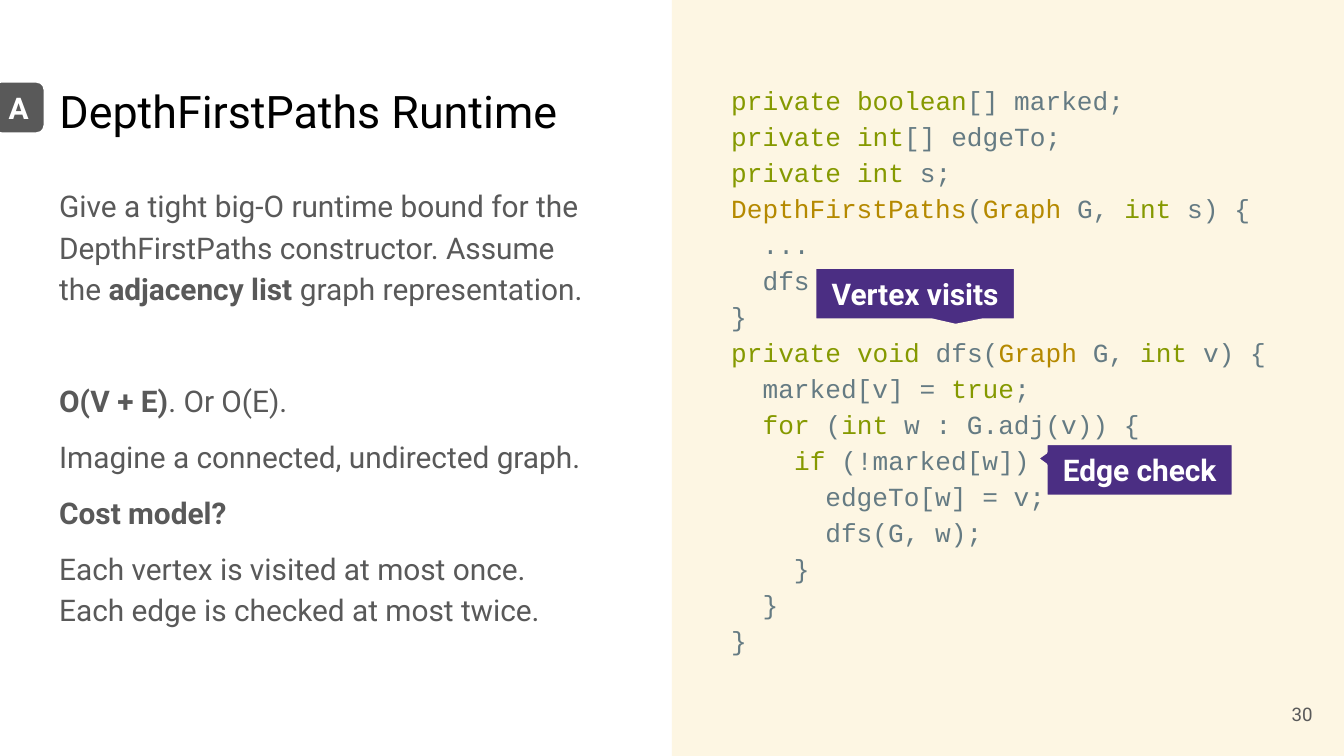
from dataclasses import dataclass
from itertools import groupby

from pptx import Presentation
from pptx.dml.color import RGBColor
from pptx.enum.shapes import MSO_SHAPE as Shape
from pptx.enum.text import MSO_ANCHOR as Anchor, MSO_AUTO_SIZE as AutoSize, PP_ALIGN as Align
from pptx.util import Inches, Pt

WIDTH = Inches(10)
HEIGHT = WIDTH * 9 // 16


@dataclass(frozen=True)
class Theme:
    sans: str = "Roboto"
    mono: str = "Courier New"
    title_size: int = 24
    body_size: int = 16
    code_size: int = 14
    number_size: int = 10
    leading: float = 1.15
    gap: int = 8
    black: str = "000000"
    white: str = "FFFFFF"
    gray: str = "595959"
    cream: str = "FDF6E3"
    purple: str = "4B2E83"
    code: str = "657B83"
    keyword: str = "859900"
    type_name: str = "B58900"


@dataclass(frozen=True)
class Box:
    """Left, top, width and height in percent of the slide."""
    x: float
    y: float
    w: float
    h: float

    def emu(self):
        return (round(WIDTH * self.x / 100), round(HEIGHT * self.y / 100),
                round(WIDTH * self.w / 100), round(HEIGHT * self.h / 100))


THEME = Theme()
TOP, LABEL_H = 8.71, 7.11

# Each paragraph: space before, then (text, bold) runs; "\n" is a line break
ANSWER = [
    (0, [("Give a tight big-O runtime bound for the DepthFirstPaths constructor. Assume the ", False),
         ("adjacency list", True), (" graph representation.", False)]),
    (38, [("O(V + E)", True), (". Or O(E).", False)]),
    (THEME.gap, [("Imagine a connected, undirected graph.", False)]),
    (THEME.gap, [("Cost model?", True)]),
    (THEME.gap, [("Each vertex is visited at most once.", False), ("\n", False),
                 ("Each edge is checked at most twice.", False)]),
]

CODE = """\
private boolean[] marked;
private int[] edgeTo;
private int s;
DepthFirstPaths(Graph G, int s) {
  ...
  dfs(G, s);
}
private void dfs(Graph G, int v) {
  marked[v] = true;
  for (int w : G.adj(v)) {
    if (!marked[w]) {
      edgeTo[w] = v;
      dfs(G, w);
    }
  }
}"""
WORD_COLORS = {
    **dict.fromkeys("private boolean int void true for if".split(), THEME.keyword),
    **dict.fromkeys("DepthFirstPaths Graph".split(), THEME.type_name),
}


def rgb(color):
    return RGBColor.from_string(color)


def style(r, size, color, bold=False, font=THEME.sans):
    r.font.name, r.font.size, r.font.bold = font, Pt(size), bold
    r.font.color.rgb = rgb(color)


def frame(sp, anchor):
    tf = sp.text_frame
    tf.word_wrap, tf.auto_size, tf.vertical_anchor = True, AutoSize.NONE, anchor
    tf.margin_left = tf.margin_right = tf.margin_top = tf.margin_bottom = Inches(0.1)
    return tf


def put_line(sp, text, anchor, align, size, color, bold=False):
    tf = frame(sp, anchor)
    tf.text = text
    p = tf.paragraphs[0]
    p.alignment = align
    style(p.runs[0], size, color, bold)


def text_area(slide, box):
    return frame(slide.shapes.add_textbox(*box.emu()), Anchor.TOP)


def next_paragraph(tf, index):
    p = tf.add_paragraph() if index else tf.paragraphs[0]
    p.line_spacing = THEME.leading
    return p


def add_panel(slide, box):
    sp = slide.shapes.add_shape(Shape.RECTANGLE, *box.emu())
    sp.shadow.inherit = False
    sp.fill.solid()
    sp.fill.fore_color.rgb = rgb(THEME.cream)
    sp.line.fill.background()


def add_title(slide, box, text):
    sp = slide.shapes.title
    sp.left, sp.top, sp.width, sp.height = box.emu()
    put_line(sp, text, Anchor.BOTTOM, Align.LEFT, THEME.title_size, THEME.black)


def add_answer(slide, box):
    tf = text_area(slide, box)
    for i, (before, runs) in enumerate(ANSWER):
        p = next_paragraph(tf, i)
        p.space_before = Pt(before)
        for text, bold in runs:
            if text == "\n":
                p.add_line_break()
                continue
            r = p.add_run()
            r.text = text
            style(r, THEME.body_size, THEME.gray, bold)


def add_code(slide, box):
    tf = text_area(slide, box)
    for i, line in enumerate(CODE.splitlines()):
        p = next_paragraph(tf, i)
        words = ("".join(chars) for _, chars in groupby(line, str.isalnum))
        # Neighbouring words of one colour share a run
        for color, group in groupby(words, lambda word: WORD_COLORS.get(word, THEME.code)):
            r = p.add_run()
            r.text = "".join(group)
            style(r, THEME.code_size, color, font=THEME.mono)


def add_label(slide, box, text, kind, fill, outline, adjustments):
    sp = slide.shapes.add_shape(kind, *box.emu())
    sp.shadow.inherit = False
    sp.fill.solid()
    sp.fill.fore_color.rgb = rgb(fill)
    sp.line.color.rgb = rgb(outline)
    sp.line.width = Pt(2.25)
    for i, value in enumerate(adjustments):
        sp.adjustments[i] = value
    put_line(sp, text, Anchor.MIDDLE, Align.CENTER, THEME.body_size, THEME.white, bold=True)


def add_callout(slide, box, text, tip):
    add_label(slide, box, text, Shape.ROUNDED_RECTANGULAR_CALLOUT,
              THEME.purple, THEME.cream, (*tip, 0))


def add_number(slide, box, text):
    sp = slide.shapes.add_textbox(*box.emu())
    put_line(sp, text, Anchor.MIDDLE, Align.RIGHT, THEME.number_size, THEME.gray)


def main():
    prs = Presentation()
    prs.slide_width, prs.slide_height = WIDTH, HEIGHT
    slide = prs.slides.add_slide(prs.slide_layouts[5])

    # Right half: background and page number
    add_panel(slide, Box(50, 0, 50, 100))
    add_number(slide, Box(92.65, 90.67, 6, 7.64), "30")

    # Left half: question and answer
    add_title(slide, Box(3.42, TOP, 43.2, 11.2), "DepthFirstPaths Runtime")
    add_answer(slide, Box(3.42, 22.4, 42, 66.49))

    # Code with its annotations
    add_code(slide, Box(53.42, TOP, 46.58, 80.18))
    add_label(slide, Box(-0.6, 10.67, 4, LABEL_H), "A", Shape.ROUNDED_RECTANGLE,
              THEME.gray, THEME.white, (0.17,))
    add_callout(slide, Box(60.6, 35.3, 15, LABEL_H), "Vertex visits", (0.2, 0.6))
    add_callout(slide, Box(77.8, 58.6, 14, LABEL_H), "Edge check", (-0.55, -0.21))

    prs.save("out.pptx")


if __name__ == "__main__":
    main()
